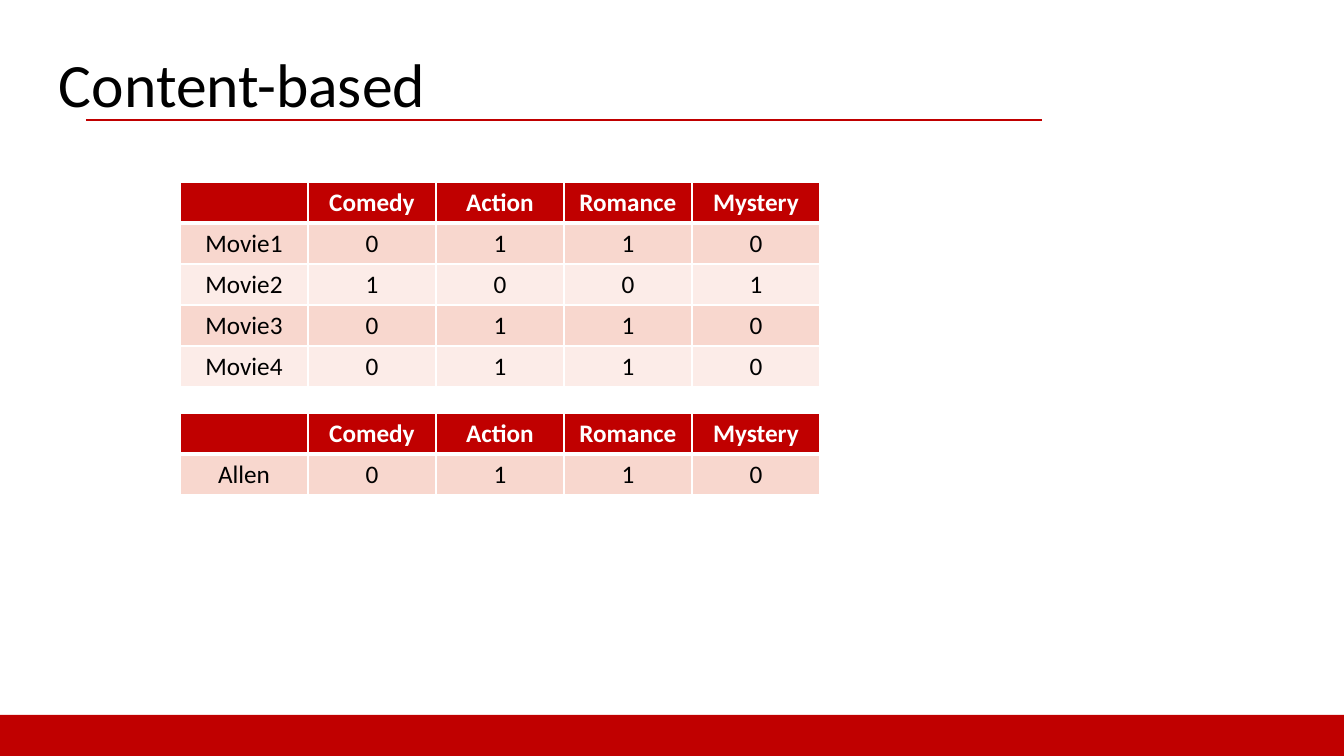
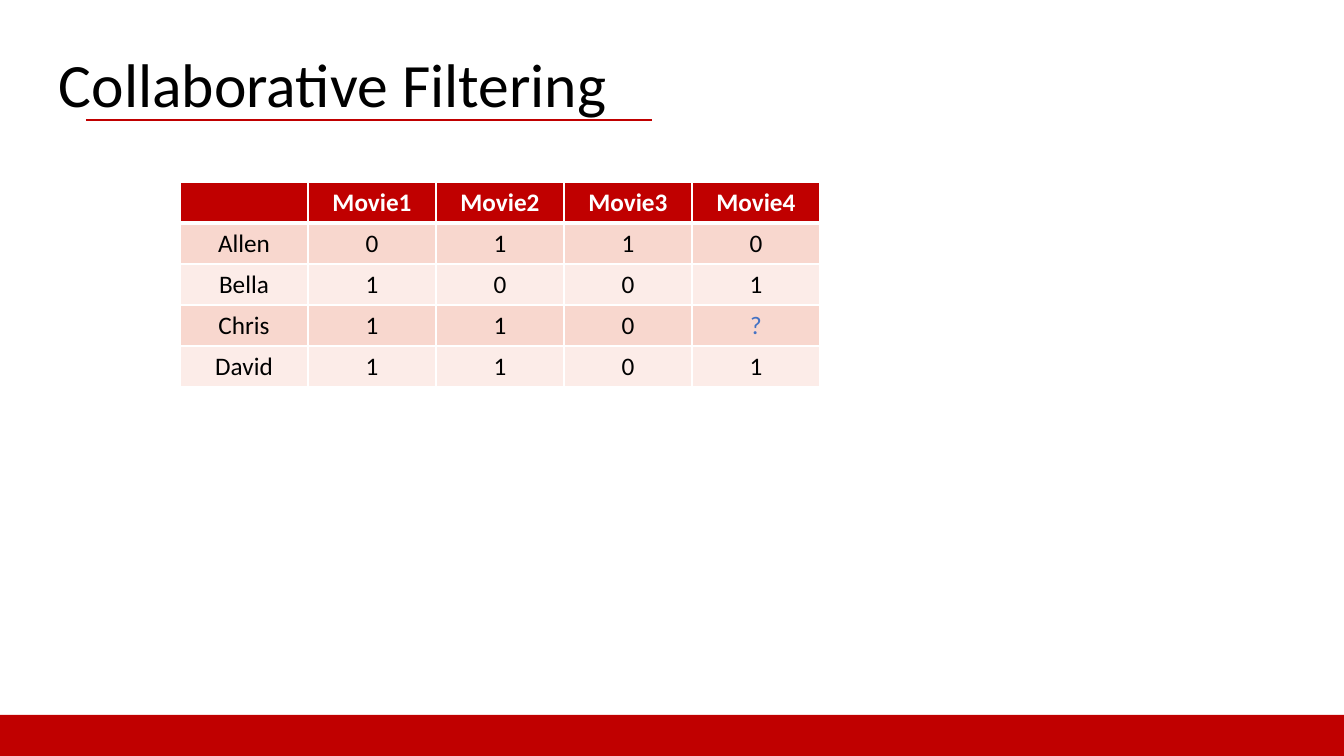
from lxml import etree
from pptx import Presentation
from pptx.dml.color import RGBColor
from pptx.enum.shapes import MSO_CONNECTOR, MSO_SHAPE
from pptx.enum.text import PP_ALIGN
from pptx.oxml.ns import qn
from pptx.util import Emu, Pt

STRAIGHT = MSO_CONNECTOR.STRAIGHT
RECTANGLE = MSO_SHAPE.RECTANGLE
CENTER = PP_ALIGN.CENTER

SLIDE_WIDTH, SLIDE_HEIGHT = 1344, 756
EMU_PER_PX = 12192000 / SLIDE_WIDTH

FONT = "Calibri"
COLORS = {
    "accent": "C00000",
    "text": "000000",
    "white": "FFFFFF",
    "odd_row": "F8D7CE",
    "even_row": "FCECE8",
    "unknown": "4472C4",
}

TABLE_LEFT, TABLE_TOP = 180, 182
COLUMN_WIDTH, ROW_HEIGHT = 128, 41
BORDER, HEADER_BORDER = 1, 3
UNKNOWN = "?"

GENRES = ["", "Comedy", "Action", "Romance", "Mystery"]
MOVIE_GENRES = [
    GENRES,
    ["Movie1", "0", "1", "1", "0"],
    ["Movie2", "1", "0", "0", "1"],
    ["Movie3", "0", "1", "1", "0"],
    ["Movie4", "0", "1", "1", "0"],
]
USER_GENRES = [GENRES, ["Allen", "0", "1", "1", "0"]]
USER_RATINGS = [
    ["", "Movie1", "Movie2", "Movie3", "Movie4"],
    ["Allen", "0", "1", "1", "0"],
    ["Bella", "1", "0", "0", "1"],
    ["Chris", "1", "1", "0", UNKNOWN],
    ["David", "1", "1", "0", "1"],
]


def px(length):
    return Emu(round(length * EMU_PER_PX))


def color(name):
    return RGBColor.from_string(COLORS[name])


def style_text(paragraph, size, color_name, bold=False):
    for run in paragraph.runs:
        run.font.name = FONT
        run.font.size = Pt(size)
        run.font.bold = bold
        run.font.color.rgb = color(color_name)


def add_title(slide, text, height):
    box = slide.shapes.add_textbox(px(49), px(41), px(915), px(height))
    box.text_frame.word_wrap = True
    box.text_frame.text = text
    style_text(box.text_frame.paragraphs[0], 44, "text")


def add_footer_band(slide):
    band = slide.shapes.add_shape(RECTANGLE, px(-36), px(715), px(1410), px(48))
    band.shadow.inherit = False
    band.fill.solid()
    band.fill.fore_color.rgb = color("accent")
    band.line.fill.background()


def add_title_rule(slide, right):
    rule = slide.shapes.add_connector(STRAIGHT, px(86), px(120), px(right), px(120))
    rule.line.color.rgb = color("accent")
    rule.line.width = Pt(1.5)
    etree.SubElement(rule._element.spPr, qn("a:effectLst"))


def set_borders(cell, top, bottom):
    """Draw white cell borders; widths are in points."""
    properties = cell._tc.get_or_add_tcPr()
    widths = {"a:lnL": BORDER, "a:lnR": BORDER, "a:lnT": top, "a:lnB": bottom}
    for tag, width in widths.items():
        line = etree.SubElement(properties, qn(tag), w=str(Pt(width)))
        fill = etree.SubElement(line, qn("a:solidFill"))
        etree.SubElement(fill, qn("a:srgbClr"), val=COLORS["white"])


def format_cell(cell, text, row_index):
    is_header = row_index == 0
    if is_header:
        fill_name, text_name = "accent", "white"
    else:
        fill_name = "odd_row" if row_index % 2 else "even_row"
        text_name = "unknown" if text == UNKNOWN else "text"

    set_borders(
        cell,
        top=HEADER_BORDER if row_index == 1 else BORDER,
        bottom=HEADER_BORDER if is_header else BORDER,
    )
    cell.fill.solid()
    cell.fill.fore_color.rgb = color(fill_name)
    cell.text_frame.text = text
    paragraph = cell.text_frame.paragraphs[0]
    paragraph.alignment = CENTER
    style_text(paragraph, 18, text_name, bold=is_header)


def add_matrix(slide, rows, top=TABLE_TOP):
    """Add a table whose first row is the header."""
    row_count, column_count = len(rows), len(rows[0])
    table = slide.shapes.add_table(
        row_count, column_count, px(TABLE_LEFT), px(top),
        px(column_count * COLUMN_WIDTH), px(row_count * ROW_HEIGHT),
    ).table
    for column in table.columns:
        column.width = px(COLUMN_WIDTH)
    for row_index, values in enumerate(rows):
        table.rows[row_index].height = px(ROW_HEIGHT)
        for column_index, text in enumerate(values):
            format_cell(table.cell(row_index, column_index), text, row_index)


def add_base_slide(presentation, title, title_height, rule_right):
    """Add a slide with the shared title, footer band and title rule."""
    slide = presentation.slides.add_slide(presentation.slide_layouts[6])
    add_title(slide, title, title_height)
    add_footer_band(slide)
    add_title_rule(slide, rule_right)
    return slide


def main():
    presentation = Presentation()
    presentation.slide_width = px(SLIDE_WIDTH)
    presentation.slide_height = px(SLIDE_HEIGHT)

    content_slide = add_base_slide(presentation, "Content-based", 159, 1042)
    add_matrix(content_slide, MOVIE_GENRES)
    add_matrix(content_slide, USER_GENRES, top=413)

    filtering_slide = add_base_slide(presentation, "Collaborative Filtering", 85, 652)
    add_matrix(filtering_slide, USER_RATINGS)

    presentation.save("out.pptx")


if __name__ == "__main__":
    main()
